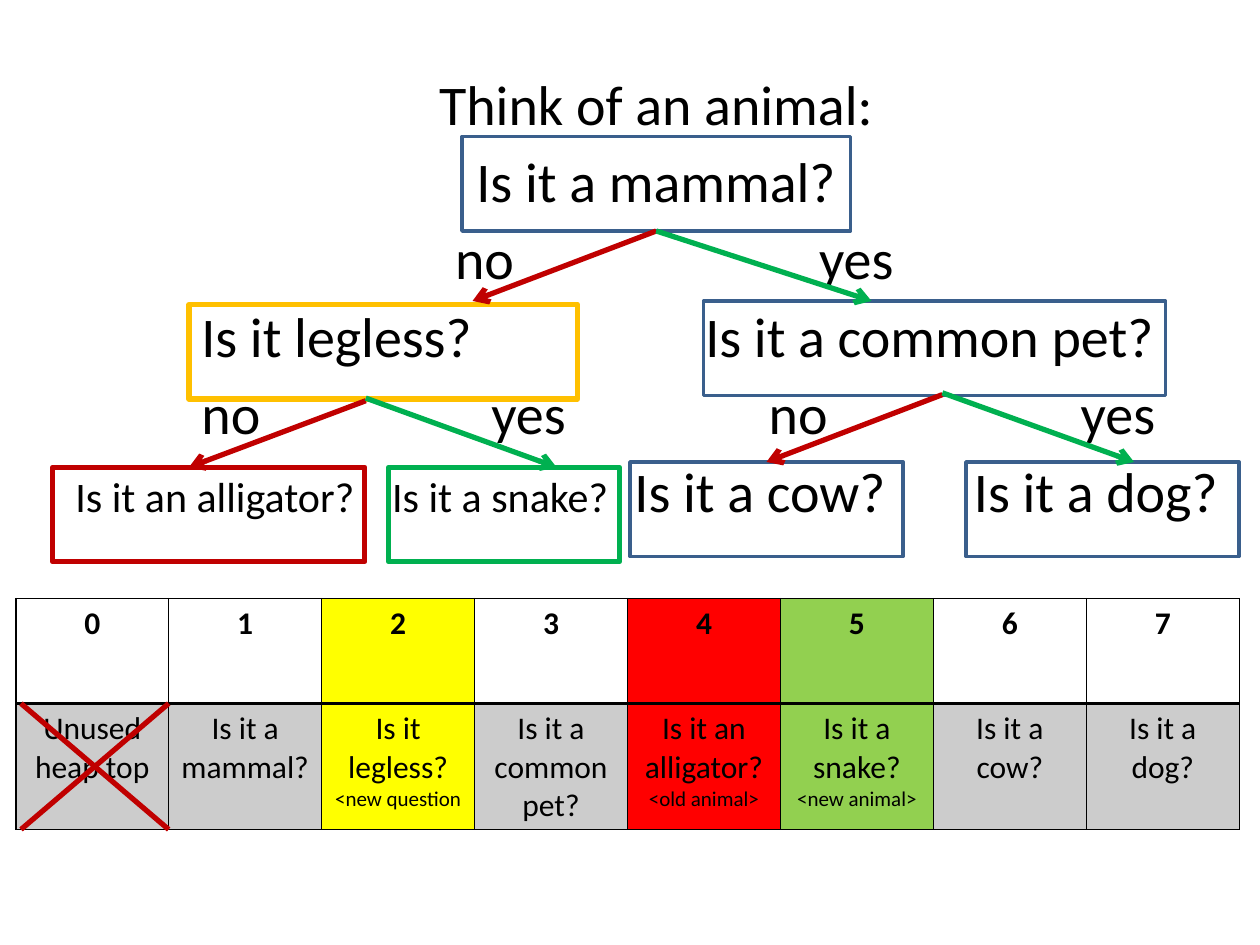
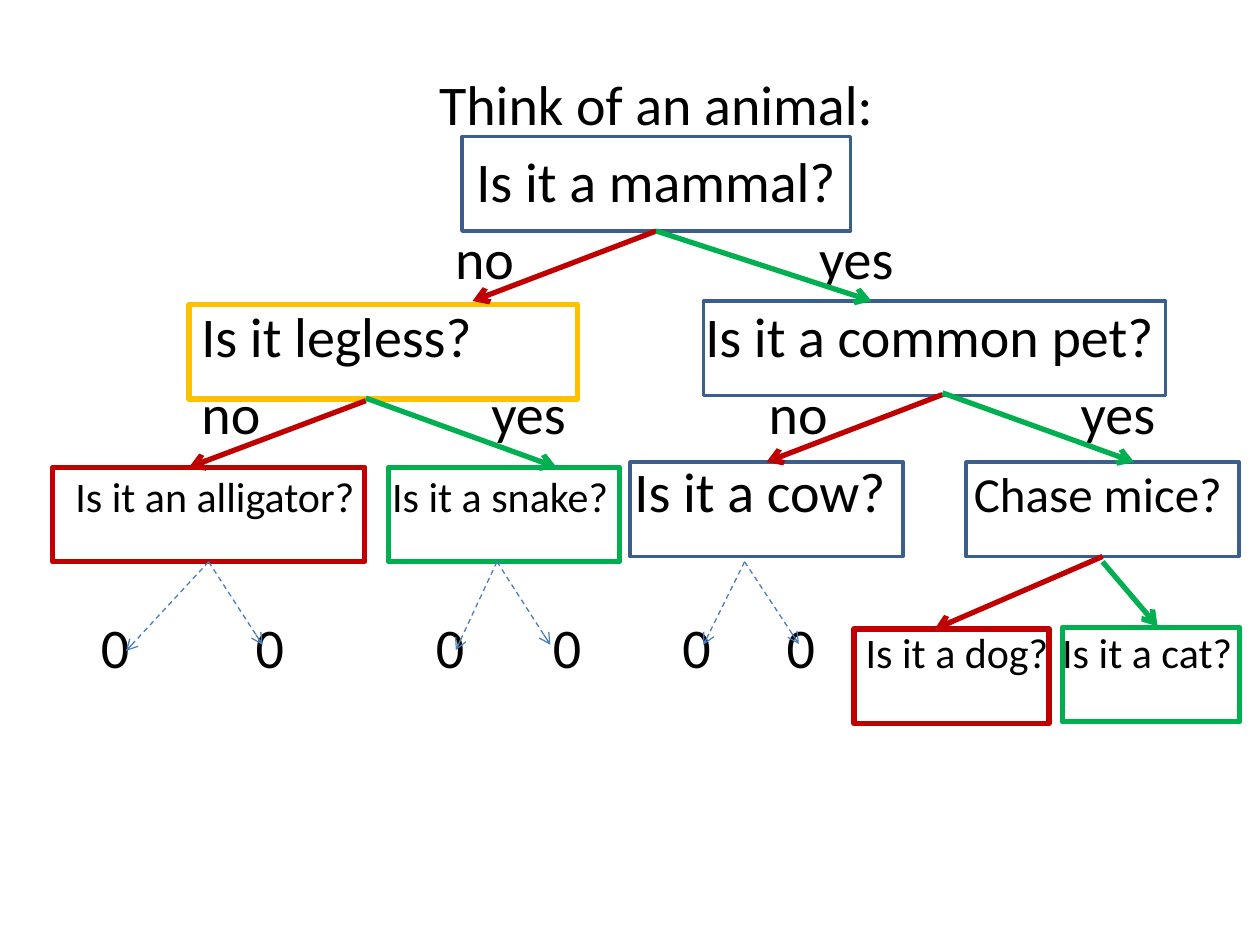
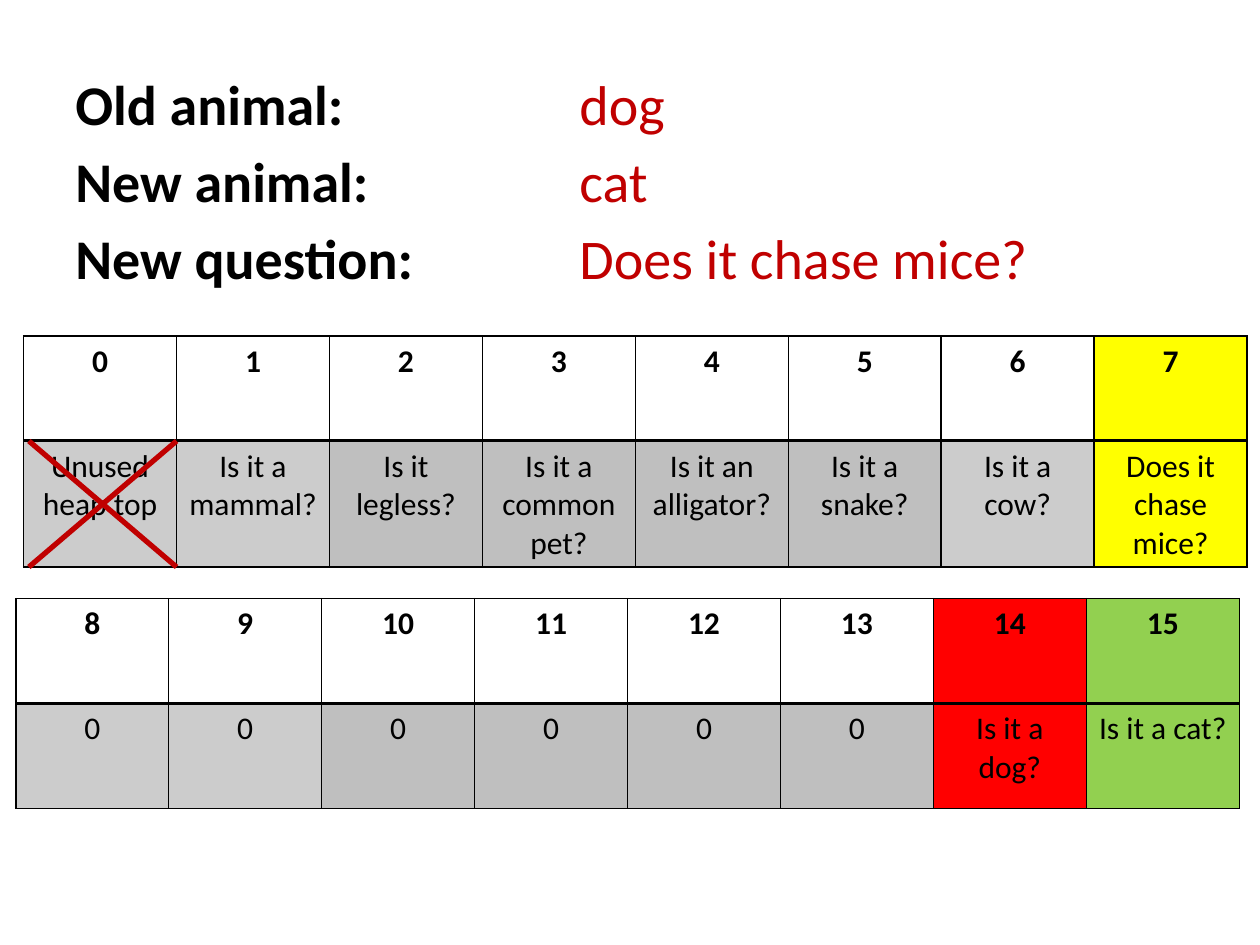
from lxml import etree
from pptx import Presentation, util as u
from pptx.dml.color import RGBColor
from pptx.enum import dml, shapes, text
from pptx.oxml.ns import qn

COLORS = {
    "ink": "000000", "red": "C00000", "green": "00B050", "blue": "3A5F8C",
    "gold": "FFC000", "link": "4B7EBC", "question": "FFFF00",
    "old": "FF0000", "new": "92D050", "gray": "BFBFBF",
}
FONT = "Calibri"
AREA = (36, 36, 678, 444)
ROW_GAP = 5.8
BLANK_ROW = 45
BOX_HEIGHT = 54
COLUMN, ROW = 87.4, 60

BOXES = {
    "mammal": (228, 42, 222, "blue", 2),
    "legless": (72, 138, 222, "gold", 3),
    "pet": (366, 136, 264, "blue", 2),
    "cow": (324, 228, 156, "blue", 2),
    "last": (516, 228, 156, "blue", 2),
    "alligator": (-6, 231, 178.5, "red", 3),
    "snake": (186, 231, 132, "green", 3),
}
BRANCHES = [
    ((339, 96), (234, 136), "red"), ((340, 96), (462, 136), "green"),
    ((502.5, 189.5), (402, 228), "red"), ((502.5, 188.5), (612, 228), "green"),
    ((173, 193), (72, 231), "red"), ((173, 191.5), (282, 231), "green"),
]
NEW_BOXES = {
    "dog": (452, 323.5, 111.5, "red", 3),
    "cat": (571, 322.5, 101.5, "green", 3),
}
NEW_BRANCHES = [
    ((594, 282), (498, 323.5), "red"), ((594, 285), (625.5, 322), "green"),
    ((83.5, 285), (36, 336), "link"), ((83.5, 285), (114, 332.5), "link"),
    ((248, 285), (224.5, 335.5), "link"), ((248, 285), (278.5, 332.5), "link"),
    ((389.5, 285), (366, 332.5), "link"), ((389.5, 285), (420.5, 332), "link"),
]
TREE_ROWS = [
    [(217, "no"), (425, "yes")],
    [(72, "Is it legless?"), (360, "Is it a common pet?")],
    [(72, "no"), (237.7, "yes"), (396.2, "no"), (574.5, "yes")],
]
LEAVES = [(0, "Is it an alligator?", 24), (181, "Is it a snake?", 24),
          (319.5, "Is it a cow?")]
ZEROS = [(stop, "0") for stop in (14.5, 103, 206, 272.8, 346.9, 406.5)]

QUESTIONS = ["Unused heap top", "Is it a mammal?", "Is it legless?",
             "Is it a common pet?", "Is it an alligator?", "Is it a snake?",
             "Is it a cow?"]


def paint(color):
    return RGBColor.from_string(COLORS[color])


def write_span(para, words, size=32, color="ink", bold=False):
    span = para.add_run()
    span.text = words
    font = span.font
    font.name, font.size, font.bold = FONT, u.Pt(size), bold
    font.color.rgb = paint(color)


def set_tabs(para, stops):
    tabs = etree.SubElement(para._p.get_or_add_pPr(), qn("a:tabLst"))
    for stop in stops:
        etree.SubElement(tabs, qn("a:tab"), pos=str(u.Pt(stop)), algn="l")


def add_body(page, area):
    frame = page.shapes.add_textbox(*map(u.Pt, area)).text_frame
    frame.word_wrap = True
    return frame


def next_para(frame, first, gap=ROW_GAP):
    if first:
        return frame.paragraphs[0]
    para = frame.add_paragraph()
    para.space_before = u.Pt(gap)
    return para


def draw_box(page, left, top, width, color, weight):
    box = page.shapes.add_shape(shapes.MSO_SHAPE.RECTANGLE, u.Pt(left), u.Pt(top),
                                u.Pt(width), u.Pt(BOX_HEIGHT))
    box.shadow.inherit = False
    box.fill.background()
    box.line.color.rgb = paint(color)
    box.line.width = u.Pt(weight)
    return box


def draw_line(page, start, end, color, weight=3, arrow=False, dashed=False):
    line = page.shapes.add_connector(shapes.MSO_CONNECTOR.STRAIGHT,
                                     *map(u.Pt, (*start, *end)))
    line.line.color.rgb = paint(color)
    line.line.width = u.Pt(weight)
    if dashed:
        line.line.dash_style = dml.MSO_LINE.DASH
    if arrow:
        etree.SubElement(line.line._get_or_add_ln(), qn("a:tailEnd"), type="arrow")
    etree.SubElement(line._element.spPr, qn("a:effectLst"))
    return line


def is_near(point, across, down):
    return max(abs(u.Pt(point[0]) - across), abs(u.Pt(point[1]) - down)) <= u.Pt(1.5)


def draw_branch(page, boxes, start, end, color):
    dashed = color == "link"
    line = draw_line(page, start, end, color, 0.75 if dashed else 3, True, dashed)
    for box in boxes:
        middle = box.left + box.width // 2
        if is_near(start, middle, box.top + box.height):
            line.begin_connect(box, 2)
        if is_near(end, middle, box.top):
            line.end_connect(box, 0)


def write_tree(page, area, leaves, extra):
    frame = add_body(page, area)
    for index, words in enumerate(("Think of an animal:", "Is it a mammal?")):
        para = next_para(frame, index == 0)
        para.alignment = text.PP_ALIGN.CENTER
        write_span(para, words)
    rows = [(row, ROW_GAP) for row in (*TREE_ROWS, leaves)]
    if extra:
        rows.append((extra, ROW_GAP + BLANK_ROW))
    for row, gap in rows:
        para = next_para(frame, False, gap)
        set_tabs(para, [stop for stop, *_ in row if stop])
        for stop, words, *size in row:
            if stop:
                write_span(para, "\t")
            write_span(para, words, *size)


def draw_tree(page, area, leaves, boxes, branches, extra=()):
    write_tree(page, area, leaves, extra)
    left, top = area[:2]
    drawn = [draw_box(page, left + across, top + down, *look)
             for across, down, *look in boxes.values()]
    for start, end, color in branches:
        draw_branch(page, drawn, (left + start[0], top + start[1]),
                    (left + end[0], top + end[1]), color)


def set_borders(cell, bottom):
    props = cell._tc.get_or_add_tcPr()
    for index, side in enumerate("LRTB"):
        weight = bottom if side == "B" else 1
        border = etree.Element(qn(f"a:ln{side}"), w=str(u.Pt(weight)))
        fill = etree.SubElement(border, qn("a:solidFill"))
        etree.SubElement(fill, qn("a:srgbClr"), val=COLORS["ink"])
        props.insert(index, border)


def fill_cell(cell, color):
    if color is None:
        cell.fill.background()
        return
    cell.fill.solid()
    cell.fill.fore_color.rgb = paint("ink" if color == "shade" else color)
    if color == "shade":
        tint = cell._tc.tcPr.find(".//" + qn("a:srgbClr"))
        etree.SubElement(tint, qn("a:alpha"), val="20000")


def write_cell(cell, lines, color, bold, bottom):
    for index, (words, size) in enumerate(lines):
        para = next_para(cell.text_frame, index == 0, 0)
        para.alignment = text.PP_ALIGN.CENTER
        write_span(para, words, size, bold=bold)
    fill_cell(cell, color)
    set_borders(cell, bottom)


def draw_heap(page, left, top, first, entries, marks, grays=(), notes=None):
    count = len(entries)
    table = page.shapes.add_table(2, count, u.Pt(left), u.Pt(top),
                                  u.Pt(COLUMN * count), u.Pt(ROW * 2)).table
    table.first_row = table.horz_banding = False
    for column in table.columns:
        column.width = u.Pt(COLUMN)
    for row in table.rows:
        row.height = u.Pt(ROW)
    for index, entry in enumerate(entries):
        slot = first + index
        lines = [(entry, 18)]
        if notes and slot in notes:
            lines.append((notes[slot], 12))
        shade = "gray" if slot in grays else "shade"
        write_cell(table.cell(0, index), [(str(slot), 18)], marks.get(slot), True, 2)
        write_cell(table.cell(1, index), lines, marks.get(slot, shade), False, 1)


def cross_out(page, left, top):
    near, far, bottom = left + 3, left + COLUMN, top + 72
    draw_line(page, (near, top), (far, bottom), "red")
    draw_line(page, (far, top), (near, bottom), "red")


def write_answers(page, area, answers):
    frame = add_body(page, area)
    for index, (label, answer) in enumerate(answers):
        para = next_para(frame, index == 0)
        set_tabs(para, [288])
        write_span(para, label + "\t", bold=True)
        write_span(para, answer, color="red")


def main():
    deck = Presentation()
    deck.slide_width, deck.slide_height = u.Pt(720), u.Pt(540)
    before, after, heap = (deck.slides.add_slide(deck.slide_layouts[6])
                           for _ in range(3))

    draw_tree(before, AREA, LEAVES + [(513.5, "Is it a dog?")], BOXES, BRANCHES)
    draw_heap(before, 9, 342, 0, QUESTIONS + ["Is it a dog?"],
              {2: "question", 4: "old", 5: "new"},
              notes={2: "<new question", 4: "<old animal>", 5: "<new animal>"})
    cross_out(before, 9, 402)

    draw_tree(after, AREA, LEAVES + [(513.5, "Chase mice?", 28)],
              BOXES | NEW_BOXES, BRANCHES + NEW_BRANCHES,
              ZEROS + [(451.6, "Is it a dog?", 24), (563.9, "Is it a cat?", 24)])

    write_answers(heap, AREA, [("Old animal:", "dog"), ("New animal:", "cat"),
                               ("New question:", "Does it chase mice?")])
    draw_heap(heap, 9, 342, 8, ["0"] * 6 + ["Is it a dog?", "Is it a cat?"],
              {14: "old", 15: "new"}, range(10, 14))
    draw_heap(heap, 13.5, 192, 0, QUESTIONS + ["Does it chase mice?"],
              {7: "question"}, range(2, 6))
    cross_out(heap, 13.5, 252)

    deck.save("out.pptx")


if __name__ == "__main__":
    main()
